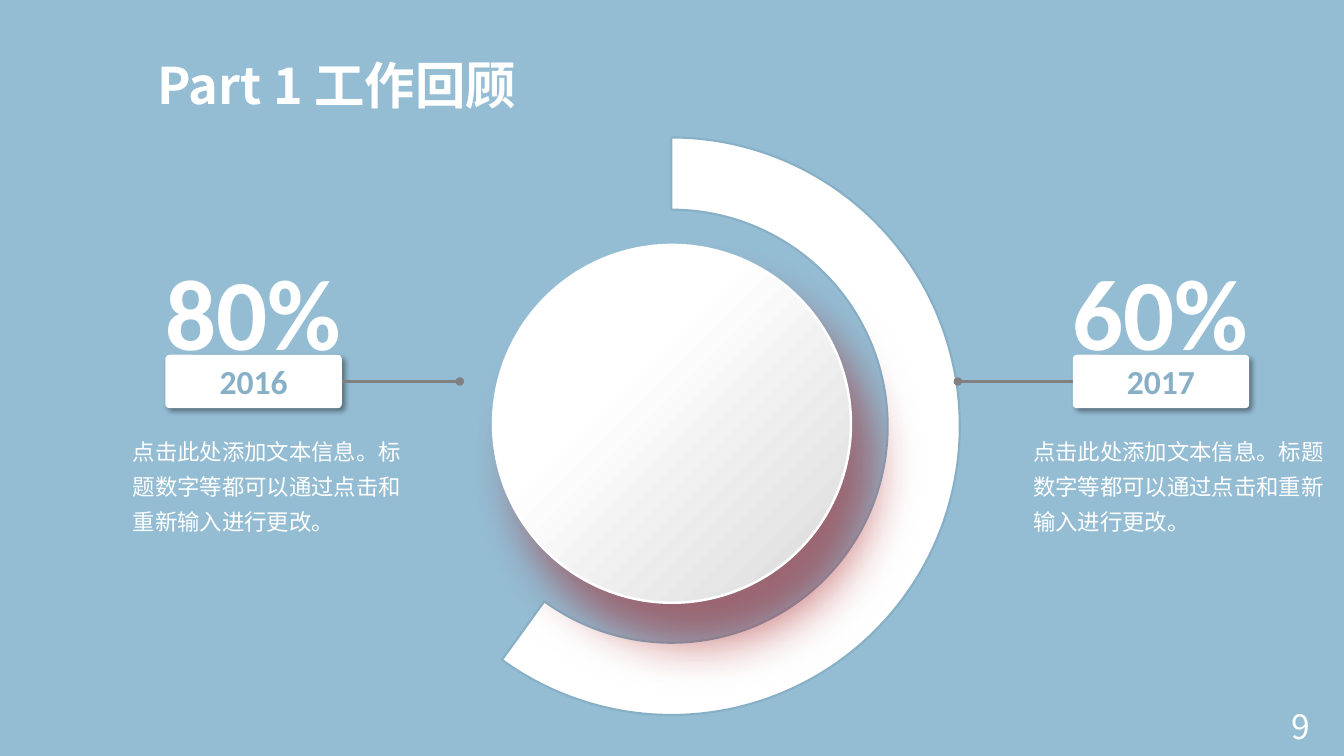
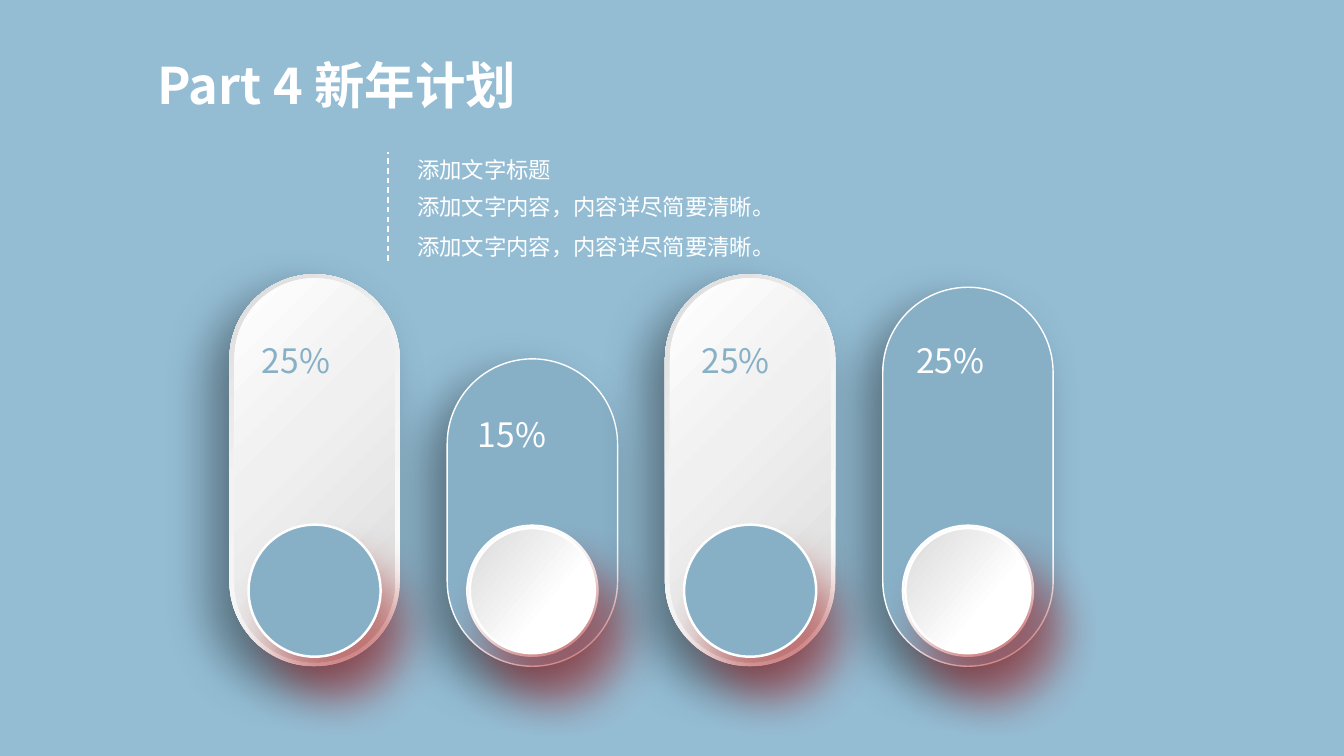
"""Build two slides: a yearly work review and a new year plan."""
from lxml import etree
from pptx import Presentation
from pptx.chart.data import CategoryChartData
from pptx.dml.color import RGBColor
from pptx.enum import chart as ch, dml, shapes, text as tx
from pptx.oxml import parse_xml
from pptx.oxml.ns import nsdecls, qn
from pptx.util import Inches, Pt

SKY, STEEL, WHITE, GREY, SILVER = "94BDD4", "87B0C7", "FFFFFF", "808080", "D9D9D9"
CJK, CJK_ALT, LATIN = "Noto Sans CJK SC", "Noto Sans CJK JP", "Calibri"
KIND = shapes.MSO_SHAPE

RED_GLOW = ("A21011", 50, 33, 33, 60)
PILL_SHADE = ("000000", 40, 35, 20, 135)
BADGE_SHADE = ("000000", 40, 4, 3, 45)
DISC_STOPS = [(0, WHITE), (36, WHITE), (100, SILVER)]
RIM_STOPS = [(0, WHITE), (62, "F2F2F2"), (100, SILVER)]
FACE_STOPS = [(0, WHITE), (42, "F0F0F0"), (100, SILVER)]

REVIEW_TITLE = "Part 1 工作回顾"
HINT = "点击此处添加文本信息。标题数字等都可以通过点击和重新输入进行更改。"
RINGS = [("Series 1", (80, 20), True), ("Series 2", (50, 50), False),
         ("Series 3", (60, 40), True)]
YEARS = [
    dict(year="2017", share="60%", left=10.64, side=1, dot=9.5, hint=(10.15, 3.19)),
    dict(year="2016", share="80%", left=1.64, side=3, dot=4.56, hint=(1.22, 3.04)),
]
BADGE_TOP, BADGE_WIDTH, BADGE_HEIGHT = 3.52, 1.75, 0.53
PAGE_NUMBER = "9"

PLAN_TITLE = "Part 4 新年计划"
PLAN_HEADING = "添加文字标题"
PLAN_LINES = ["添加文字内容，内容详尽简要清晰。"] * 2
PILLS = [("25%", 3.89, True, 2.5, 3.32), ("15%", 3.05, False, 4.64, 4.06),
         ("25%", 3.89, True, 6.86, 3.32), ("25%", 3.76, False, 8.99, 3.32)]
PILL_CENTER, PILL_PITCH, PILL_WIDTH, PILL_BOTTOM = 3.12, 2.16, 1.69, 6.61
KNOB_Y = 5.86


def rgb(value):
    return RGBColor.from_string(value)


def style_run(run, size, color, font, bold=False):
    run.font.size, run.font.bold, run.font.name = Pt(size), bold, font
    run.font.color.rgb = rgb(color)
    etree.SubElement(run.font._element, qn("a:ea"), typeface=font)


def add_words(slide, box, lines, size, color=WHITE, font=CJK, bold=False,
              spacing=None, wrap=False, align=tx.PP_ALIGN.LEFT):
    frame = slide.shapes.add_textbox(*map(Inches, box)).text_frame
    frame.text = "\n".join(lines)
    frame.word_wrap = wrap
    frame.auto_size = tx.MSO_AUTO_SIZE.SHAPE_TO_FIT_TEXT
    for paragraph in frame.paragraphs:
        paragraph.alignment = align
        if spacing:
            paragraph.line_spacing = spacing
        for run in paragraph.runs:
            style_run(run, size, color, font, bold)
    return frame


def add_title(slide, title):
    add_words(slide, (1.46, 0.49, 3.88, 0.71), [title], 36, bold=True)


def add_figure(slide, kind, box, fill, angle=None, line=None, shadow=None, adjust=None):
    figure = slide.shapes.add_shape(kind, *map(Inches, box))
    if adjust is not None:
        figure.adjustments[0] = adjust
    if angle is None:
        figure.fill.solid()
        figure.fill.fore_color.rgb = rgb(fill)
    else:
        figure.fill.background()
        stops = "".join(f'<a:gs pos="{pos * 1000}"><a:srgbClr val="{color}"/></a:gs>'
                        for pos, color in fill)
        gradient = parse_xml(f'<a:gradFill {nsdecls("a")} rotWithShape="1"><a:gsLst>{stops}'
                             f'</a:gsLst><a:lin ang="{angle * 60000}" scaled="0"/></a:gradFill>')
        props = figure._element.spPr
        props.replace(props.find(qn("a:noFill")), gradient)
    if line:
        figure.line.color.rgb = rgb(WHITE)
        figure.line.width = Pt(line)
    else:
        figure.line.fill.background()
    figure.shadow.inherit = False
    if shadow:
        color, alpha, blur, dist, direction = shadow
        figure._element.spPr.find(qn("a:effectLst")).append(parse_xml(
            f'<a:outerShdw {nsdecls("a")} blurRad="{Pt(blur)}" dist="{Pt(dist)}" '
            f'dir="{direction * 60000}" algn="ctr" rotWithShape="0"><a:srgbClr val="{color}">'
            f'<a:alpha val="{alpha * 1000}"/></a:srgbClr></a:outerShdw>'))
    return figure


def add_line(slide, ends, color, width):
    line = slide.shapes.add_connector(shapes.MSO_CONNECTOR.STRAIGHT, *map(Inches, ends))
    line.line.color.rgb = rgb(color)
    line.line.width = Pt(width)
    etree.SubElement(line._element.spPr, qn("a:effectLst"))
    return line


def add_rings(slide):
    data = CategoryChartData()
    data.categories = ["1", "2"]
    for name, values, _ in RINGS:
        data.add_series(name, values)
    chart = slide.shapes.add_chart(ch.XL_CHART_TYPE.DOUGHNUT,
                                   *map(Inches, (3.8, 0.98, 5.73, 6.23)), data).chart
    chart.has_legend = chart.has_title = False
    chart.font.size, chart.font.name = Pt(10), CJK_ALT
    chart.font.color.rgb = rgb("000000")
    plot = chart.plots[0]
    plot.vary_by_categories = True
    plot.has_data_labels = False
    for series, (_, values, shown) in zip(plot.series, RINGS):
        for index in range(len(values)):
            style = series.points[index].format
            if shown and index == 0:
                style.fill.solid()
                style.fill.fore_color.rgb = rgb(WHITE)
                style.line.color.rgb = rgb(STEEL)
                style.line.width = Pt(1.5)
            else:
                style.fill.background()
                style.line.fill.background()
    area = chart._chartSpace.chart.plotArea
    for hole in area.iter(qn("c:holeSize")):
        hole.set("val", "62")
    for layout in area.findall(qn("c:layout")):
        area.remove(layout)
    places = "".join(f'<c:{tag} val="{value}"/>' for tag, value in (
        ("layoutTarget", "inner"), ("xMode", "edge"), ("yMode", "edge"),
        ("x", 0), ("y", 0.062), ("w", 1), ("h", 0.957)))
    area.insert(0, parse_xml(f'<c:layout {nsdecls("c")}><c:manualLayout>{places}'
                             '</c:manualLayout></c:layout>'))


def add_year(slide, year, share, left, side, dot, hint):
    badge = add_figure(slide, KIND.ROUNDED_RECTANGLE,
                       (left, BADGE_TOP, BADGE_WIDTH, BADGE_HEIGHT), WHITE,
                       shadow=BADGE_SHADE, adjust=0.078)
    badge.text_frame.text = year
    badge.text_frame.vertical_anchor = tx.MSO_ANCHOR.MIDDLE
    label = badge.text_frame.paragraphs[0]
    label.alignment = tx.PP_ALIGN.CENTER
    style_run(label.runs[0], 24, STEEL, LATIN, True)
    middle = BADGE_TOP + BADGE_HEIGHT / 2
    pointer = add_line(slide, (left, middle, dot, middle), GREY, 2)
    pointer.begin_connect(badge, side)
    etree.SubElement(pointer.line._get_or_add_ln(), qn("a:tailEnd"), type="oval")
    add_words(slide, (left - 0.1, 2.43, 1.96, 1.31), [share], 72, font=LATIN, bold=True)
    hint_left, hint_width = hint
    add_words(slide, (hint_left, 4.22, hint_width, 1.15), [HINT], 16, spacing=1.3, wrap=True)


def add_pill(slide, column, share, height, light, label_left, label_top):
    center = PILL_CENTER + column * PILL_PITCH

    def round_box(size):
        return center - size / 2, KNOB_Y - size / 2, size, size

    box = (center - PILL_WIDTH / 2, PILL_BOTTOM - height, PILL_WIDTH, height)
    if light:
        add_figure(slide, KIND.ROUNDED_RECTANGLE, box, RIM_STOPS, 225,
                   shadow=PILL_SHADE, adjust=0.5)
        face = (box[0] + 0.05, box[1] + 0.04, PILL_WIDTH - 0.1, height - 0.08)
        add_figure(slide, KIND.ROUNDED_RECTANGLE, face, FACE_STOPS, 45, adjust=0.5)
        add_figure(slide, KIND.OVAL, round_box(1.31), STEEL, line=1.75, shadow=RED_GLOW)
    else:
        add_figure(slide, KIND.ROUNDED_RECTANGLE, box, STEEL, line=1,
                   shadow=PILL_SHADE, adjust=0.5)
        for kind, size, adjust in ((KIND.DONUT, 1.29, 0.049), (KIND.OVAL, 1.24, None)):
            add_figure(slide, kind, round_box(size), DISC_STOPS, 220, line=1.75,
                       shadow=RED_GLOW, adjust=adjust)
    add_words(slide, (label_left, label_top, 0.9, 0.5), [share], 24,
              STEEL if light else WHITE)


def build_review(slide):
    add_rings(slide)
    add_title(slide, REVIEW_TITLE)
    add_figure(slide, KIND.OVAL, (4.89, 2.43, 3.55, 3.55), DISC_STOPS, 45,
               line=1.75, shadow=RED_GLOW)
    for year in YEARS:
        add_year(slide, **year)
    number = add_words(slide, (10.09, 7, 3, 0.4), [PAGE_NUMBER], 24, font=CJK_ALT,
                       wrap=True, align=tx.PP_ALIGN.RIGHT)
    number.auto_size = tx.MSO_AUTO_SIZE.NONE
    number.vertical_anchor = tx.MSO_ANCHOR.MIDDLE


def build_plan(slide):
    for column, pill in sorted(enumerate(PILLS), key=lambda item: item[1][2]):
        add_pill(slide, column, *pill)
    add_words(slide, (4.04, 1.5, 1.55, 0.37), [PLAN_HEADING], 16)
    add_words(slide, (4.04, 1.73, 3.79, 0.91), PLAN_LINES, 16, spacing=1.5)
    divider = add_line(slide, (3.85, 2.59, 3.85, 1.51), WHITE, 1)
    divider.line.dash_style = dml.MSO_LINE.DASH
    add_title(slide, PLAN_TITLE)


def main():
    deck = Presentation()
    deck.slide_width, deck.slide_height = Inches(13.33), Inches(7.5)
    backdrop = deck.slide_master.background.fill
    backdrop.solid()
    backdrop.fore_color.rgb = rgb(SKY)
    for build in (build_review, build_plan):
        build(deck.slides.add_slide(deck.slide_layouts[6]))
    deck.save("out.pptx")


if __name__ == "__main__":
    main()
